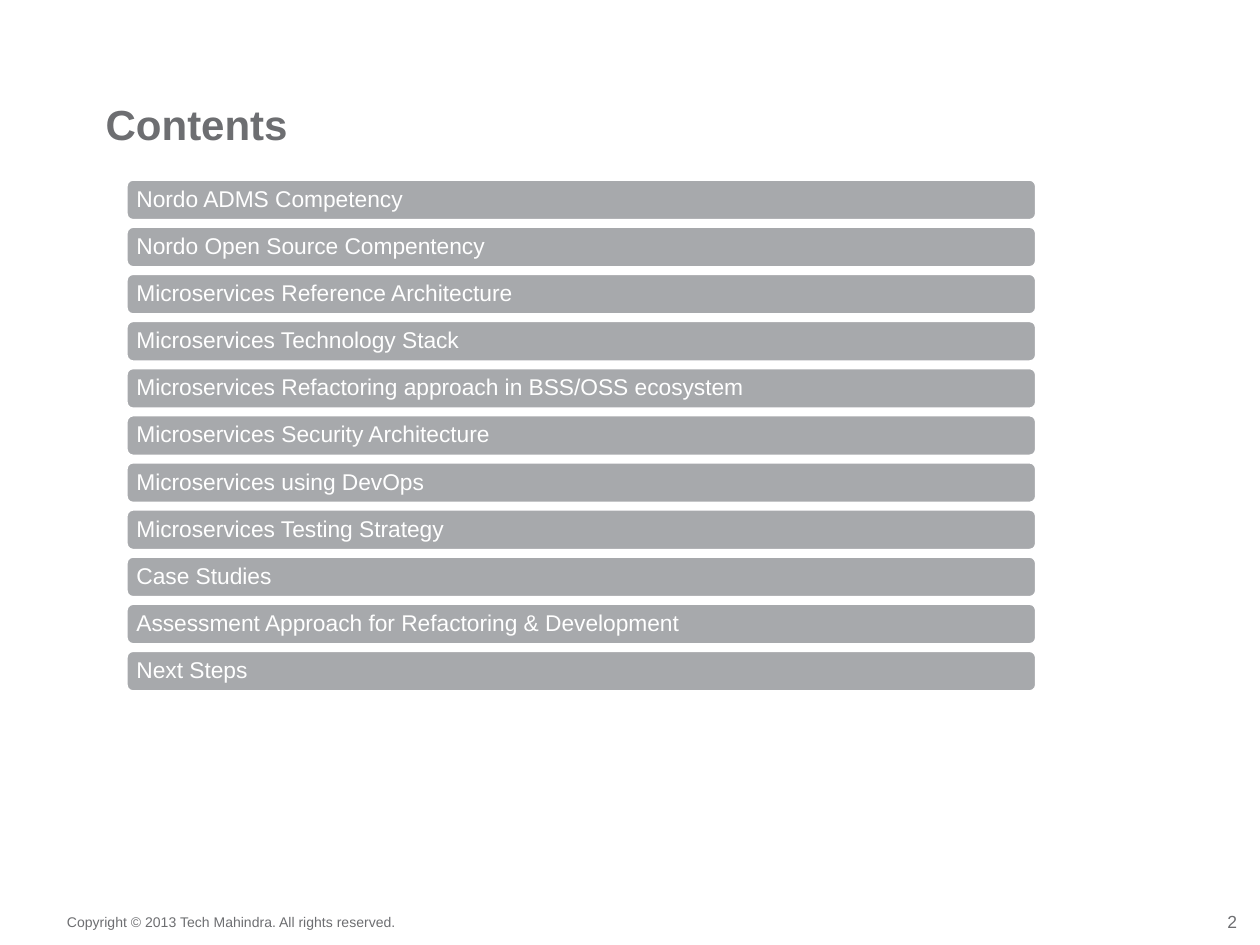
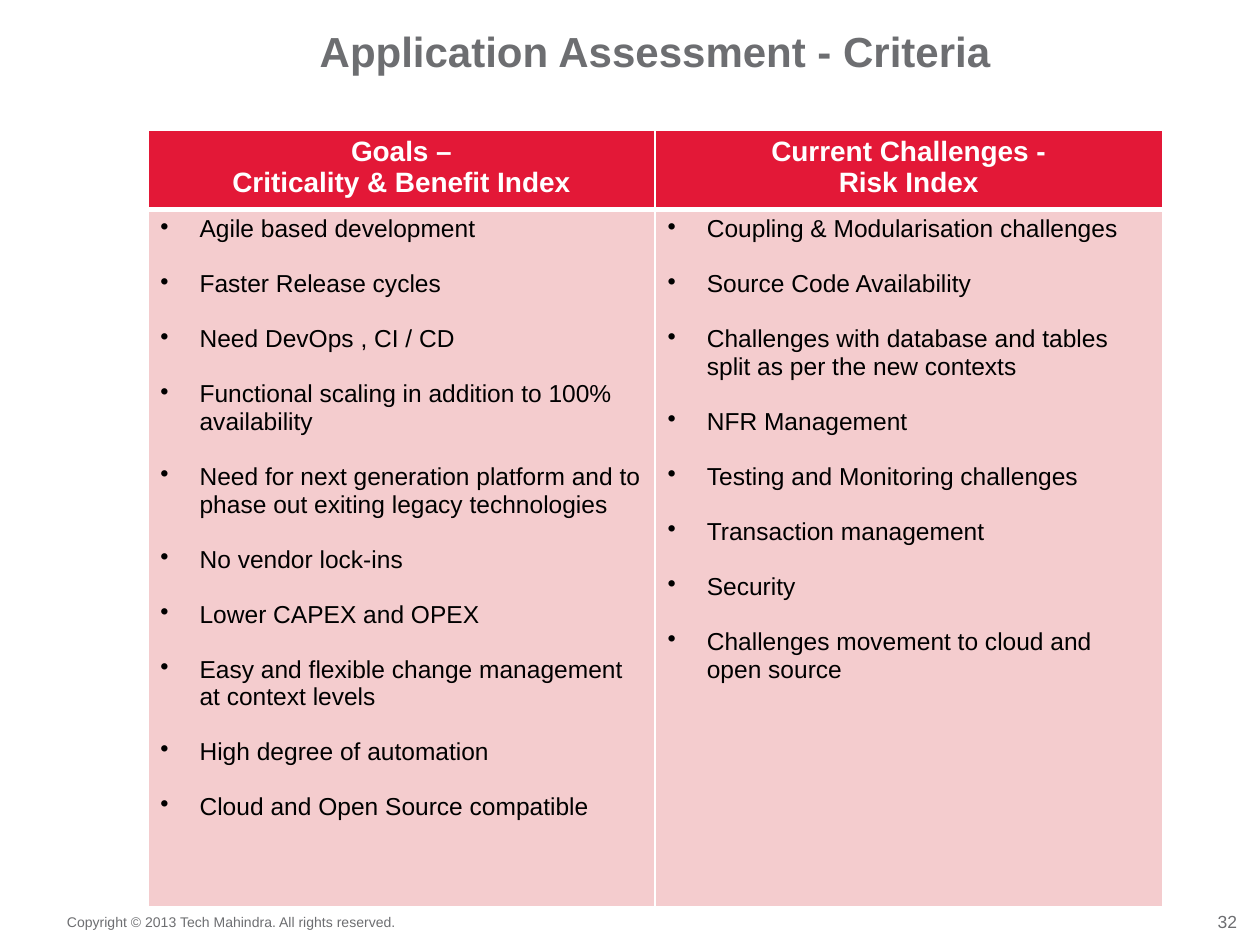
import pptx
import pptx.util
import pptx.dml.color
import pptx.enum.shapes
import pptx.enum.text
import pptx.oxml
import pptx.oxml.ns
from pptx.util import Cm, Pt

COLORS = {
    "grey": "6D6E71",
    "bar": "A7A9AC",
    "red": "E31837",
    "pink": "F4CCCE",
    "white": "FFFFFF",
    "black": "000000",
}
FONT = "Arial"
ALIGN = pptx.enum.text.PP_ALIGN
ANCHOR = pptx.enum.text.MSO_ANCHOR
RIGHTS = "Copyright © 2013 Tech Mahindra. All rights reserved."

TOPICS = [
    "Nordo ADMS Competency",
    "Nordo Open Source Compentency",
    "Microservices Reference Architecture",
    "Microservices Technology Stack",
    "Microservices Refactoring approach in BSS/OSS ecosystem",
    "Microservices Security Architecture",
    "Microservices using DevOps",
    "Microservices Testing Strategy",
    "Case Studies",
    "Assessment Approach for Refactoring & Development",
    "Next Steps",
]
GOALS = [
    "Agile based development",
    "Faster Release cycles",
    "Need DevOps , CI / CD",
    "Functional scaling in addition to 100% availability",
    "Need for next generation platform and to phase out exiting legacy technologies",
    "No vendor lock-ins",
    "Lower CAPEX and OPEX",
    "Easy and flexible change management at context levels",
    "High degree of automation",
    "Cloud and Open Source compatible",
]
RISKS = [
    "Coupling & Modularisation challenges",
    "Source Code Availability",
    "Challenges with database and tables split as per the new contexts",
    "NFR Management",
    "Testing and Monitoring challenges",
    "Transaction management",
    "Security",
    "Challenges movement to cloud and open source",
]


def rgb(name):
    return pptx.dml.color.RGBColor.from_string(COLORS[name])


class Deck:
    """Holds the style and the current slide."""

    def __init__(self):
        self.prs = pptx.Presentation()
        self.prs.slide_width = Cm(25.4)
        self.prs.slide_height = Cm(19.05)
        self.slide = None

    def page(self, title, number, box, align=ALIGN.LEFT):
        """Start a slide with its title, copyright line and number."""
        self.slide = self.prs.slides.add_slide(self.prs.slide_layouts[5])
        head = self.slide.shapes.title
        head.left, head.top, head.width, head.height = map(Cm, box)
        self.set_text(head.text_frame, [title], 24, "grey", align, bold=True)
        self.label(RIGHTS, (1.35, 18.42, 10, 0.33), 8)
        self.label(str(number), (22.94, 18.36, 2, 0.43), 10, ALIGN.RIGHT)

    def set_text(self, frame, lines, size, color, align=ALIGN.LEFT,
                 bold=False, anchor=ANCHOR.TOP, inset=0):
        frame.word_wrap = True
        frame.auto_size = pptx.enum.text.MSO_AUTO_SIZE.NONE
        frame.vertical_anchor = anchor
        frame.margin_left = frame.margin_right = Cm(inset)
        frame.margin_top = frame.margin_bottom = 0
        self.add_lines(frame, lines, size, color, align, bold)

    def add_lines(self, frame, lines, size, color, align=ALIGN.LEFT,
                  bold=False, bullet=False, gap=0):
        for i, line in enumerate(lines):
            para = frame.paragraphs[0] if i == 0 else frame.add_paragraph()
            para.text = line
            para.alignment = align
            if bullet:
                self.bullet(para)
            if i and gap:
                para.space_before = Pt(gap)
            font = para.font
            font.name, font.size, font.bold = FONT, Pt(size), bold
            font.color.rgb = rgb(color)

    def bullet(self, para):
        props = para._p.get_or_add_pPr()
        props.set("marL", str(Cm(0.79)))
        props.set("indent", str(-Cm(0.79)))
        mark = pptx.oxml.parse_xml(
            f'<a:buChar {pptx.oxml.ns.nsdecls("a")} char="•"/>')
        props.append(mark)

    def label(self, text, box, size, align=ALIGN.LEFT):
        shape = self.slide.shapes.add_textbox(*map(Cm, box))
        self.set_text(shape.text_frame, [text], size, "grey", align)

    def bar(self, text, box):
        shape = self.slide.shapes.add_shape(
            pptx.enum.shapes.MSO_SHAPE.ROUNDED_RECTANGLE, *map(Cm, box))
        shape.shadow.inherit = False
        shape.fill.solid()
        shape.fill.fore_color.rgb = rgb("bar")
        shape.line.color.rgb = rgb("white")
        shape.line.width = Pt(2)
        self.set_text(shape.text_frame, [text], 13, "white",
                      anchor=ANCHOR.MIDDLE, inset=0.17)
        shape.text_frame.paragraphs[0].line_spacing = 0.9

    def table(self, heads, lists, box, rows):
        frame = self.slide.shapes.add_table(2, len(heads), *map(Cm, box))
        table = frame.table
        table.horz_banding = False
        for row, height in zip(table.rows, rows):
            row.height = Cm(height)
        for col, (head, items) in enumerate(zip(heads, lists)):
            top, body = table.cell(0, col), table.cell(1, col)
            self.paint(top, "red", {"B": 3})
            self.add_lines(top.text_frame, head, 16, "white",
                           ALIGN.CENTER, True)
            self.paint(body, "pink", {"T": 3})
            self.add_lines(body.text_frame, items, 14, "black",
                           bullet=True, gap=15.7)

    def paint(self, cell, color, thick):
        """Fill a cell and give it white borders, 1 pt unless in thick."""
        props = cell._tc.get_or_add_tcPr()
        for side in "LRTB":
            width = Pt(thick.get(side, 1))
            props.append(pptx.oxml.parse_xml(
                f'<a:ln{side} {pptx.oxml.ns.nsdecls("a")} w="{width}">'
                f'<a:solidFill><a:srgbClr val="{COLORS["white"]}"/>'
                f'</a:solidFill></a:ln{side}>'))
        cell.fill.solid()
        cell.fill.fore_color.rgb = rgb(color)


def main():
    deck = Deck()

    # Contents: one bar per topic at an equal pitch
    deck.page("Contents", 2, (2.13, 1.98, 20.22, 1.02))
    for i, topic in enumerate(TOPICS):
        deck.bar(topic, (2.54, 3.61 + 0.95 * i, 18.36, 0.84))

    # Assessment criteria: goals against challenges
    deck.page("Application Assessment - Criteria", 32,
              (1.52, 0.51, 23.37, 1.02), ALIGN.CENTER)
    deck.table(
        [["Goals –", "Criticality & Benefit Index"],
         ["Current Challenges -", "Risk Index"]],
        [GOALS, RISKS], (2.98, 2.62, 20.45, 15.65), (1.6, 14.05))

    deck.prs.save("out.pptx")


if __name__ == "__main__":
    main()
